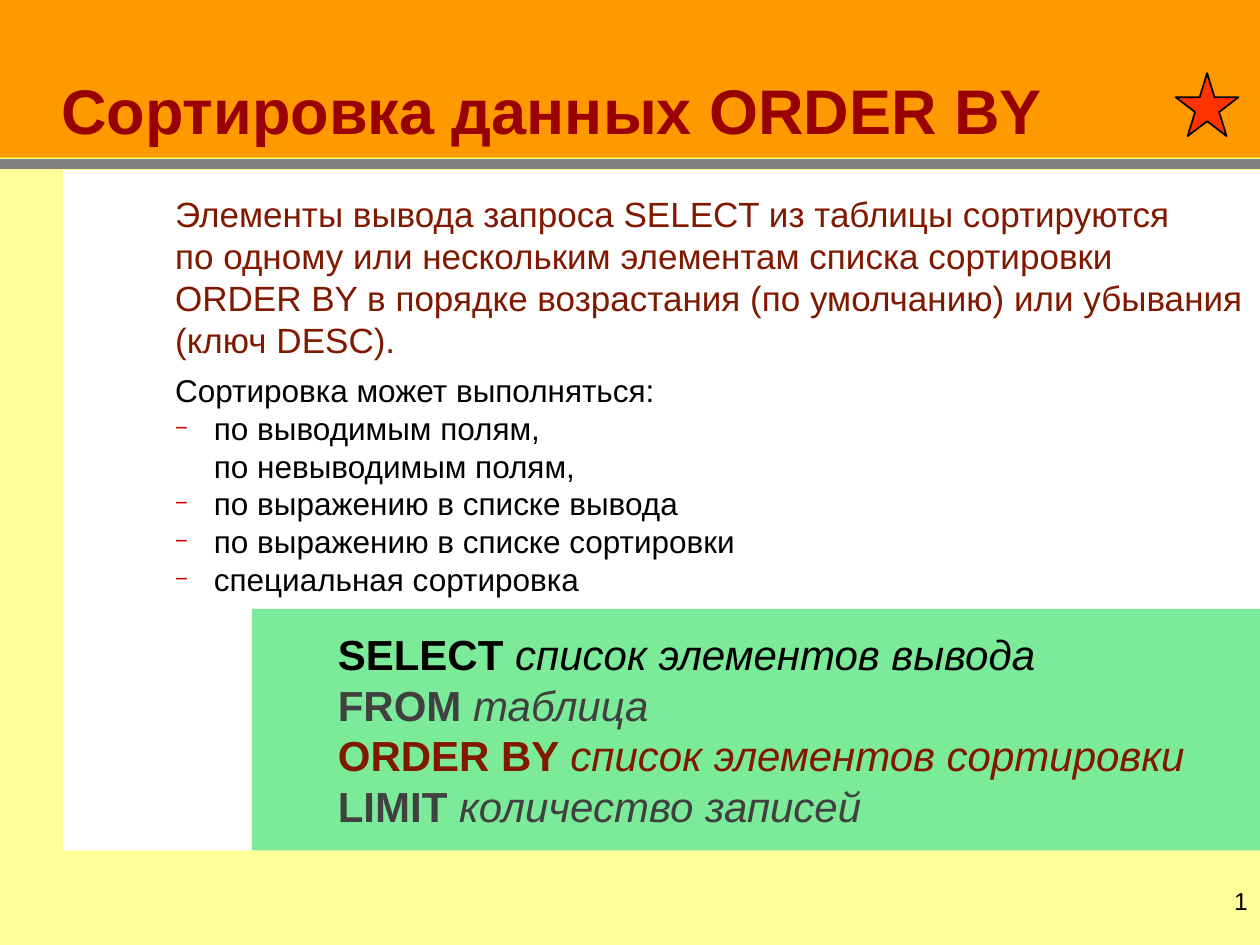
from dataclasses import dataclass

from lxml import etree
from pptx import Presentation
from pptx.dml.color import RGBColor
from pptx.enum import shapes, text
from pptx.oxml import ns
from pptx.util import Pt


@dataclass
class Box:
    left: float
    top: float
    width: float
    height: float
    fill: str
    kind: shapes.MSO_SHAPE = shapes.MSO_SHAPE.RECTANGLE


@dataclass
class Para:
    text: str
    size: float
    color: str
    margin: float = 0
    indent: float = 0
    after: float = 0
    spacing: float = 1.0
    bold: bool = False
    italic_tail: str = ""
    bullet: bool = False
    align: text.PP_ALIGN = text.PP_ALIGN.LEFT


HEADER = Box(0, 0, 720, 90, "FF9900")
PAGE = Box(0, 90, 720, 450, "FFFF99")
RULE = Box(0, 91, 720, 5.6, "808080")
TITLE = Box(0, 4.3, 720, 84.2, "FF9900")
BODY = Box(36, 97.2, 684, 388.8, "FFFFFF")
QUERY = Box(144, 348, 576, 138, "7CEB99")
STAR = Box(671.8, 41.8, 36, 36, "FF3300", shapes.MSO_SHAPE.STAR_5_POINT)

BROWN, BLACK, GRAY = "801900", "000000", "404040"
INTRO = (
    "Элементы вывода запроса SELECT из таблицы сортируются\v"
    "по одному или нескольким элементам списка сортировки "
    "ORDER BY в порядке возрастания (по умолчанию) или убывания (ключ DESC)."
)
WAYS = [
    "по выводимым полям,\vпо невыводимым полям,",
    "по выражению в списке вывода",
    "по выражению в списке сортировки",
    "специальная сортировка",
]
CLAUSES = [
    ("SELECT ", "список элементов вывода", BLACK),
    ("FROM ", "таблица", GRAY),
    ("ORDER BY ", "список элементов сортировки", BROWN),
    ("LIMIT ", "количество записей", GRAY),
]


def rgb(value: str) -> RGBColor:
    return RGBColor.from_string(value)


def add_box(slide, box: Box, line: str = ""):
    sp = slide.shapes.add_shape(
        box.kind, Pt(box.left), Pt(box.top), Pt(box.width), Pt(box.height)
    )
    sp.shadow.inherit = False
    sp.fill.solid()
    sp.fill.fore_color.rgb = rgb(box.fill)
    if line:
        sp.line.color.rgb = rgb(line)
        sp.line.width = Pt(1)
    else:
        sp.line.fill.background()
    return sp


def add_rule(slide, y: float, color: str) -> None:
    line = slide.shapes.add_connector(
        shapes.MSO_CONNECTOR.STRAIGHT, Pt(0), Pt(y), Pt(720), Pt(y)
    )
    line.line.color.rgb = rgb(color)
    line.line.width = Pt(1)
    etree.SubElement(line._element.spPr, ns.qn("a:effectLst"))


def add_bullet(p) -> None:
    pPr = p._p.get_or_add_pPr()
    color = etree.SubElement(pPr, ns.qn("a:buClr"))
    etree.SubElement(color, ns.qn("a:srgbClr"), val="CC0000")
    etree.SubElement(pPr, ns.qn("a:buSzPct"), val="70000")
    etree.SubElement(pPr, ns.qn("a:buFont"), typeface="Arial")
    etree.SubElement(pPr, ns.qn("a:buChar"), char="−")


def write(sp, paras: list[Para], anchor=text.MSO_ANCHOR.TOP, inset_top: float = 3.6) -> None:
    tf = sp.text_frame
    tf.word_wrap = True
    tf.vertical_anchor = anchor
    tf.margin_top = Pt(inset_top)
    for i, para in enumerate(paras):
        p = tf.paragraphs[0] if i == 0 else tf.add_paragraph()
        p.text = para.text
        p.alignment = para.align
        p.line_spacing = para.spacing
        p.space_after = Pt(para.after)
        pPr = p._p.get_or_add_pPr()
        pPr.set("marL", str(Pt(para.margin)))
        pPr.set("indent", str(Pt(para.indent)))
        if para.bullet:
            add_bullet(p)
        if para.italic_tail:
            p.add_run().text = para.italic_tail
        for r in p.runs:
            tail = bool(para.italic_tail) and r.text == para.italic_tail
            r.font.name = "Arial"
            r.font.size = Pt(para.size)
            r.font.color.rgb = rgb(para.color)
            r.font.bold = para.bold and not tail
            r.font.italic = tail


def main() -> None:
    prs = Presentation()
    prs.slide_width, prs.slide_height = Pt(720), Pt(540)
    s = prs.slides.add_slide(prs.slide_layouts[6])
    s.background.fill.solid()
    s.background.fill.fore_color.rgb = rgb("B2B2B2")

    for box in (HEADER, PAGE, RULE):
        add_box(s, box)
    add_rule(s, 90, "FFCC00")

    title = Para("Сортировка данных ORDER BY", 36, "990000", margin=28, spacing=0.9, bold=True)
    write(add_box(s, TITLE), [title], text.MSO_ANCHOR.BOTTOM)

    body = [
        Para(INTRO, 20, BROWN, margin=57, after=6),
        Para("Сортировка может выполняться:", 18, BLACK, margin=57),
    ]
    body += [Para(way, 18, BLACK, margin=79.2, indent=-22.2, bullet=True) for way in WAYS]
    write(add_box(s, BODY), body, inset_top=12.8)

    number = s.shapes.add_textbox(Pt(646), Pt(502.6), Pt(74), Pt(37.4))
    write(number, [Para("1", 14, BLACK, align=text.PP_ALIGN.RIGHT)])

    query = [
        Para(word, 24, color, margin=42, bold=True, italic_tail=tail)
        for word, tail, color in CLAUSES
    ]
    write(add_box(s, QUERY), query, text.MSO_ANCHOR.MIDDLE)
    add_box(s, STAR, BLACK)

    prs.save("out.pptx")


if __name__ == "__main__":
    main()
